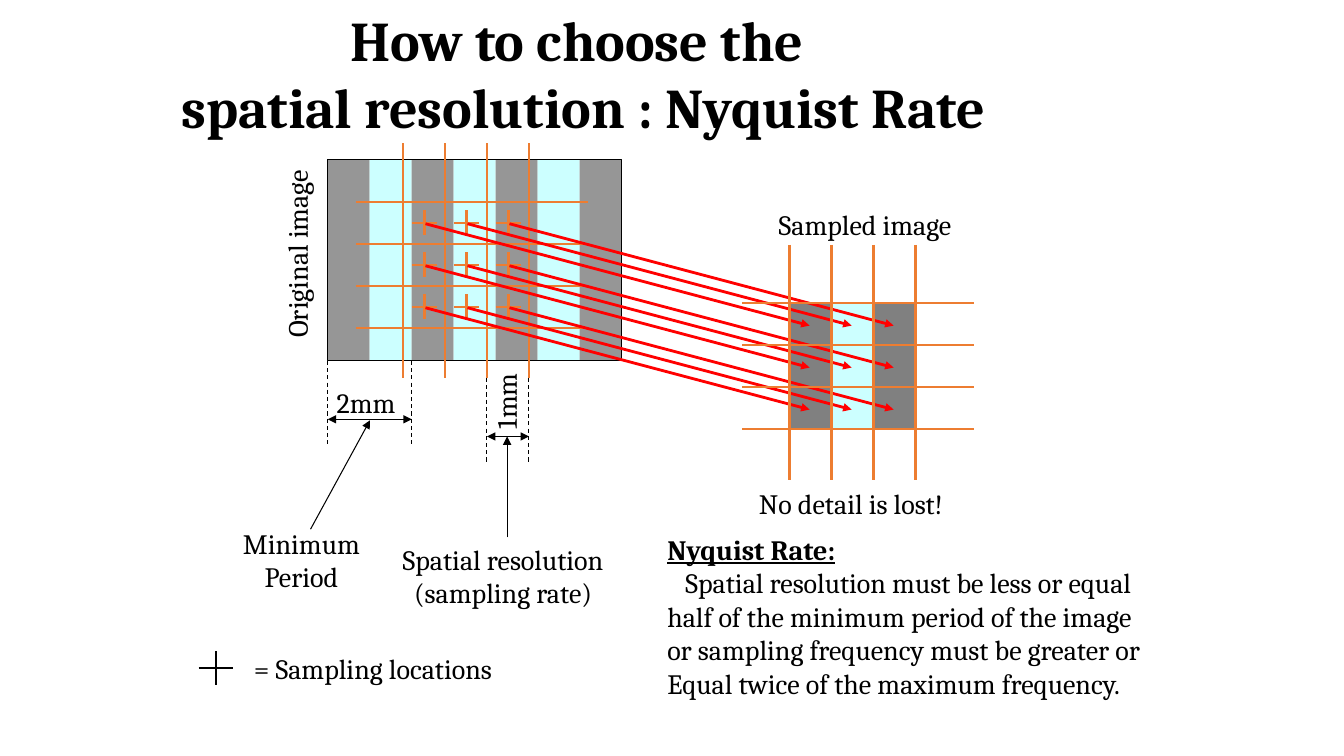
from dataclasses import dataclass
from itertools import product

from lxml.etree import SubElement
from pptx import Presentation
from pptx.dml.color import RGBColor
from pptx.enum.dml import MSO_LINE
from pptx.enum.shapes import MSO_CONNECTOR, MSO_SHAPE
from pptx.enum.text import MSO_ANCHOR, MSO_AUTO_SIZE, PP_ALIGN
from pptx.oxml.ns import qn
from pptx.util import Inches, Pt

FONT = "Cambria"
BLACK, ORANGE, RED = "000000", "ED7D31", "FF0000"
GRAY, DARK, CYAN = "969696", "808080", "CCFFFF"
CELL = 5 / 12  # sampling step, 1 mm on the image


@dataclass
class Label:
    text: str
    left: float
    top: float
    width: float
    height: float = 0.44
    turn: int = 0


@dataclass
class Span:
    left: float
    top: float
    width: float


LABELS = [
    Label("Original image", 1.97, 2.3, 1.95, turn=270),
    Label("= Sampling locations", 2.36, 6.41, 2.68),
    Label("Minimum\nPeriod", 2.31, 5.17, 1.36, 0.77),
    Label("Spatial resolution\n(sampling rate)", 3.84, 5.33, 2.3, 0.77),
    Label("Sampled image", 7.57, 2.01, 2.02),
    Label("No detail is lost!", 7.38, 4.78, 2.12),
    Label("2mm", 3.22, 3.78, 0.82),
    Label("1mm", 4.61, 3.76, 0.82, turn=270),
]
SPANS = [Span(4.83, 3.75, CELL), Span(3.25, 3.58, 2 * CELL)]
RULE = """Nyquist Rate:
Spatial resolution must be less or equal
half of the minimum period of the image
or sampling frequency must be greater or
Equal twice of the maximum frequency."""

deck = Presentation()
deck.slide_width, deck.slide_height = Inches(13.33), Inches(7.5)
slide = deck.slides.add_slide(deck.slide_layouts[5])


def color(code: str) -> RGBColor:
    return RGBColor.from_string(code)


def write(shape, text: str, size: int = 20, bold: bool = False,
          align=PP_ALIGN.CENTER) -> list:
    """Fill a shape with one paragraph per line of text."""
    frame = shape.text_frame
    frame.word_wrap = False
    frame.auto_size = MSO_AUTO_SIZE.SHAPE_TO_FIT_TEXT
    frame.vertical_anchor = MSO_ANCHOR.TOP
    paras = []
    for i, line in enumerate(text.split("\n")):
        para = frame.add_paragraph() if i else frame.paragraphs[0]
        para.alignment = align
        run = para.add_run()
        run.text = line
        run.font.name, run.font.size = FONT, Pt(size)
        run.font.bold = bold
        run.font.color.rgb = color(BLACK)
        paras.append(para)
    return paras


def box(left: float, top: float, width: float, height: float):
    return slide.shapes.add_textbox(
        Inches(left), Inches(top), Inches(width), Inches(height))


def rect(left: float, top: float, width: float, height: float,
         fill: str = "", edge: str = "") -> None:
    shape = slide.shapes.add_shape(
        MSO_SHAPE.RECTANGLE, Inches(left), Inches(top),
        Inches(width), Inches(height))
    shape.shadow.inherit = False
    if fill:
        shape.fill.solid()
        shape.fill.fore_color.rgb = color(fill)
    else:
        shape.fill.background()
    if edge:
        shape.line.color.rgb = color(edge)
        shape.line.width = Pt(0.75)
    else:
        shape.line.fill.background()


def line(x1: float, y1: float, x2: float, y2: float, tint: str = BLACK,
         width: float = 0.75, dash: bool = False, ends: str = "") -> None:
    """Draw a line; ends names the arrowheads, such as 'head tail'."""
    link = slide.shapes.add_connector(
        MSO_CONNECTOR.STRAIGHT, Inches(x1), Inches(y1), Inches(x2), Inches(y2))
    link.line.color.rgb = color(tint)
    link.line.width = Pt(width)
    if dash:
        link.line.dash_style = MSO_LINE.DASH
    props = link._element.spPr
    for end in ends.split():
        SubElement(props.find(qn("a:ln")), qn(f"a:{end}End"), type="triangle")
    SubElement(props, qn("a:effectLst"))


def cross(x: float, y: float, arm: float, tint: str) -> None:
    line(x, y - arm, x, y + arm, tint, 1.5)
    line(x - arm, y, x + arm, y, tint, 1.5)


def grid(left: float, top: float) -> None:
    """Four lines each way around a three by three block of cells."""
    for i in range(4):
        x, y = left + i * CELL, top + i * CELL
        line(x, top - 0.58, x, top + 1.75, ORANGE, 1.5)
        line(left - 0.47, y, left + 1.83, y, ORANGE, 1.5)


# Title
title = slide.shapes.title
title.left, title.top = Inches(1.58), Inches(0)
title.width, title.height = Inches(8.41), Inches(1.45)
write(title, "How to choose the \nspatial resolution : Nyquist Rate",
      size=40, bold=True)

# Striped image with its sampling grid
for i in range(7):
    rect(3.25 + i * CELL, 1.58, CELL, 2, CYAN if i % 2 else GRAY)
rect(3.25, 1.58, 7 * CELL, 2, edge=BLACK)
grid(4, 2)
cells = list(product(range(3), repeat=2))
for row, col in cells:
    cross(4.21 + col * CELL, 2.21 + row * CELL, 0.125, ORANGE)

# Sampled image, with an arrow from each sample to its cell
for row, col in cells:
    rect(7.83 + col * CELL, 3.01 + row * CELL, CELL, CELL,
         CYAN if col % 2 else DARK)
for row, col in cells:
    x, y = 4.22 + col * CELL, 2.22 + row * CELL
    line(x, y, x + 3.81, y + 1.01, RED, 2, ends="tail")
grid(7.83, 3.01)

# Dimensions and their pointers
for span in SPANS:
    right, level = span.left + span.width, span.top + 0.58
    for x in (span.left, right):
        line(x, span.top, x, span.top + 0.83, dash=True)
    line(span.left, level, right, level, ends="head tail")
line(3.08, 5.25, 3.67, 4.17, ends="tail")
line(5.03, 5.33, 5.03, 4.33, ends="tail")

# Legend mark and labels
cross(2.14, 6.63, 0.17, BLACK)
for label in LABELS:
    shape = box(label.left, label.top, label.width, label.height)
    shape.rotation = label.turn
    write(shape, label.text)

# Nyquist rule
head, first, *_ = write(box(6.52, 5.23, 5.16, 1.78), RULE, align=PP_ALIGN.LEFT)
head.runs[0].font.bold = head.runs[0].font.underline = True
first._p.get_or_add_pPr().set("indent", str(Inches(0.18)))

deck.save("out.pptx")
